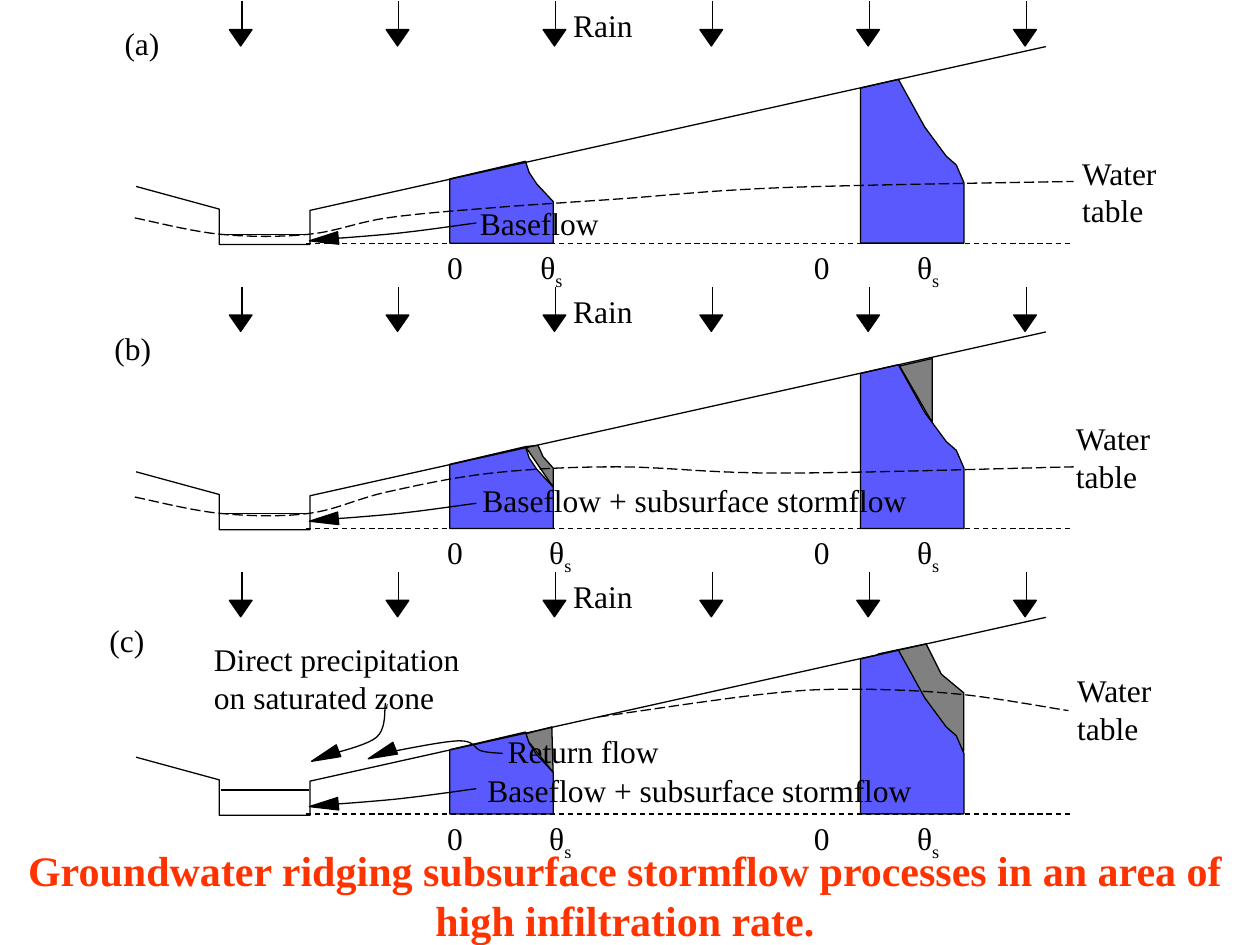
from pptx import Presentation
from pptx.dml.color import RGBColor
from pptx.enum.dml import MSO_LINE
from pptx.enum.shapes import MSO_CONNECTOR, MSO_SHAPE
from pptx.enum.text import MSO_ANCHOR, PP_ALIGN
from pptx.oxml.ns import qn
from pptx.util import Inches, Pt
from lxml import etree

BLACK = RGBColor(0, 0, 0)
BLUE = RGBColor(0x59, 0x59, 0xFE)
GRAY = RGBColor(0x80, 0x80, 0x80)
RED = RGBColor(0xFF, 0x33, 0x00)
FONT = "Times New Roman"
LINE = MSO_CONNECTOR.STRAIGHT
HEAD = MSO_SHAPE.ISOSCELES_TRIANGLE
LONG, SHORT = MSO_LINE.LONG_DASH, MSO_LINE.DASH

TITLE = ("Groundwater ridging subsurface stormflow processes "
         "in an area of high infiltration rate.")
STORM = "Baseflow + subsurface stormflow"

# All heights are measured from the top of a panel
STEP = 2.265
BASE = 1.93
GROUND = [(1.08, 1.48), (1.74, 1.66), (1.74, 1.94), (2.46, 1.94), (2.46, 1.67), (8.3, 0.37)]
NEAR = [(3.57, 1.42), (3.57, BASE), (4.39, BASE), (4.39, 1.6), (4.26, 1.46),
        (4.2, 1.37), (4.17, 1.28)]
FAR = [(6.83, 0.7), (6.83, BASE), (7.65, BASE), (7.65, 1.45), (7.59, 1.31),
       (7.51, 1.24), (7.34, 1.01), (7.13, 0.63)]
TABLE_X = [1.07, 1.75, 2.45, 3.07, 3.9, 4.9, 6.2, 8.52]
FLOW = [(3.78, 1.77), (3.17, 1.85), (2.57, 1.9)]
RAIN_X, RAIN_GAP, DROPS = 1.92, 1.245, 6

# Labels: text, left, top
PANELS = [
    dict(wet=[], theta=0.87, stream=1.86, rise=0, side=[],
         table=list(zip(TABLE_X, [1.73, 1.86, 1.86, 1.73, 1.65, 1.58, 1.49, 1.44])),
         labels=[("(a)", 0.89, 0.14), ("Baseflow", 3.71, 1.57),
                 ("Water\ntable", 8.49, 1.17)]),
    dict(wet=[[(7.4, 1.09), (7.4, 0.58), (7.14, 0.64)],
              [(4.39, 1.6), (4.39, 1.45), (4.31, 1.36), (4.27, 1.27), (4.17, 1.28)]],
         theta=0.94, stream=1.81, rise=0.04, side=[],
         table=list(zip(TABLE_X, [1.68, 1.81, 1.81, 1.64, 1.49, 1.44, 1.49, 1.44])),
         labels=[("(b)", 0.81, 0.3), (STORM, 3.73, 1.5), ("Water\ntable", 8.44, 1.01)]),
    dict(wet=[[(7.65, 1.43), (7.65, 0.97), (7.47, 0.82), (7.35, 0.58), (6.97, 0.66)],
              [(4.39, 1.6), (4.38, 1.24), (4.15, 1.3)]],
         theta=0.94, stream=1.74, rise=0.04,
         side=[[(3.99, 1.45), (3.82, 1.43), (3.64, 1.35), (3.03, 1.45)],
               [(3.06, 1.05), (2.99, 1.32), (2.58, 1.47)]],
         table=[(4.75, 1.16), (6.05, 0.98), (6.77, 0.94), (7.62, 0.98), (8.48, 1.11)],
         labels=[("(c)", 0.77, 0.35), (STORM, 3.77, 1.54), ("Return flow", 3.93, 1.23),
                 ("Direct precipitation\non saturated zone", 1.6, 0.5),
                 ("Water\ntable", 8.45, 0.75)]),
]

prs = Presentation()
prs.slide_width, prs.slide_height = Inches(10), Inches(7.5)
slide = prs.slides.add_slide(prs.slide_layouts[5])
shapes = slide.shapes


def ink(shape, dash=None):
    shape.line.color.rgb = BLACK
    shape.line.width = Pt(0.75)
    if dash:
        shape.line.dash_style = dash


def rule(x1, y1, x2, y2, dash=None):
    line = shapes.add_connector(LINE, *map(Inches, (x1, y1, x2, y2)))
    etree.SubElement(line._element.spPr, qn("a:effectLst"))
    ink(line, dash)


def trace(points, top, fill=None, dash=None):
    """Draw an outline, closed when it has a fill."""
    start, *rest = [(Inches(x), Inches(y + top)) for x, y in points]
    pen = shapes.build_freeform(*start)
    pen.add_line_segments(rest, close=fill is not None)
    shape = pen.convert_to_shape()
    shape.shadow.inherit = False
    if fill is None:
        shape.fill.background()
    else:
        shape.fill.solid()
        shape.fill.fore_color.rgb = fill
    ink(shape, dash)


def bend(knots, steps=10):
    """Pass a smooth Catmull-Rom curve through the knots."""
    ends = [knots[0], *knots, knots[-1]]
    out = [knots[0]]
    for a, b, c, d in zip(ends, ends[1:], ends[2:], ends[3:]):
        for n in range(1, steps + 1):
            t = n / steps
            out.append(tuple(
                q + t / 2 * (r - p + t * (2 * p - 5 * q + 4 * r - s
                                          + t * (3 * q - p - 3 * r + s)))
                for p, q, r, s in zip(a, b, c, d)))
    return out


def head(x, y, w, h, turn):
    """Place an arrowhead by its centre."""
    shape = shapes.add_shape(HEAD, *map(Inches, (x - w / 2, y - h / 2, w, h)))
    shape.rotation = turn
    shape.shadow.inherit = False
    shape.fill.solid()
    shape.fill.fore_color.rgb = BLACK
    ink(shape)


def write(para, text, size=18, color=BLACK, bold=False):
    run = para.add_run()
    run.text = text
    font = run.font
    font.name, font.size, font.bold = FONT, Pt(size), bold
    font.color.rgb = color
    return run


def label(text, x, y, wide=None):
    lines = text.split("\n")
    wide = wide or 0.3 + 0.11 * max(map(len, lines))
    box = shapes.add_textbox(*map(Inches, (x, y, wide, 0.1 + 0.3 * len(lines))))
    frame = box.text_frame
    frame.word_wrap = True
    for i, line in enumerate(lines):
        write(frame.add_paragraph() if i else frame.paragraphs[0], line)
    return frame


def scale(y, theta):
    """Write the moisture marks under both soil columns."""
    para = label("\t0\tθ", 3.32, y, 4.55).paragraphs[0]
    tabs = etree.SubElement(para._p.get_or_add_pPr(), qn("a:tabLst"))
    for stop in (0.13, theta, 3.04, 3.86):
        etree.SubElement(tabs, qn("a:tab"), pos=str(Inches(stop)), algn="l")
    for text in ("s", "\t0\tθ", "s"):
        run = write(para, text)
        if text == "s":
            run.font._element.set("baseline", "-25000")


for row, panel in enumerate(PANELS):
    top = row * STEP
    for area in panel["wet"]:
        trace(area, top, GRAY)
    trace(FAR, top, BLUE)
    trace(NEAR, top, BLUE)
    trace(GROUND, top)
    trace(bend(panel["table"]), top, dash=LONG)
    level = top + panel["stream"]
    rule(1.75, level, 2.45, level)
    rule(2.43, top + BASE, 8.52, top + BASE, SHORT)

    flow = [(x, y - panel["rise"]) for x, y in FLOW]
    for path, turn in [(flow, 264.3)] + [(side, 248.5) for side in panel["side"]]:
        trace(bend(path), top)
        x, y = path[-1]
        head(x, top + y, 0.1, 0.23, turn)
    for i in range(DROPS):
        x = RAIN_X + i * RAIN_GAP
        rule(x, top + 0.01, x, top + 0.33)
        head(x - 0.01, top + 0.3, 0.18, 0.13, 180)

    label("Rain", 4.45, top, 1.15)
    scale(top + BASE - 0.01, panel["theta"])
    for text, x, y in panel["labels"]:
        label(text, x, top + y)

title = shapes.title
title.left, title.top, title.width, title.height = map(Inches, (-0.08, 6.65, 10.08, 0.9))
title.text_frame.vertical_anchor = MSO_ANCHOR.TOP
title.text_frame.word_wrap = True
para = title.text_frame.paragraphs[0]
para.alignment = PP_ALIGN.CENTER
write(para, TITLE, 24, RED, True)

prs.save("out.pptx")
